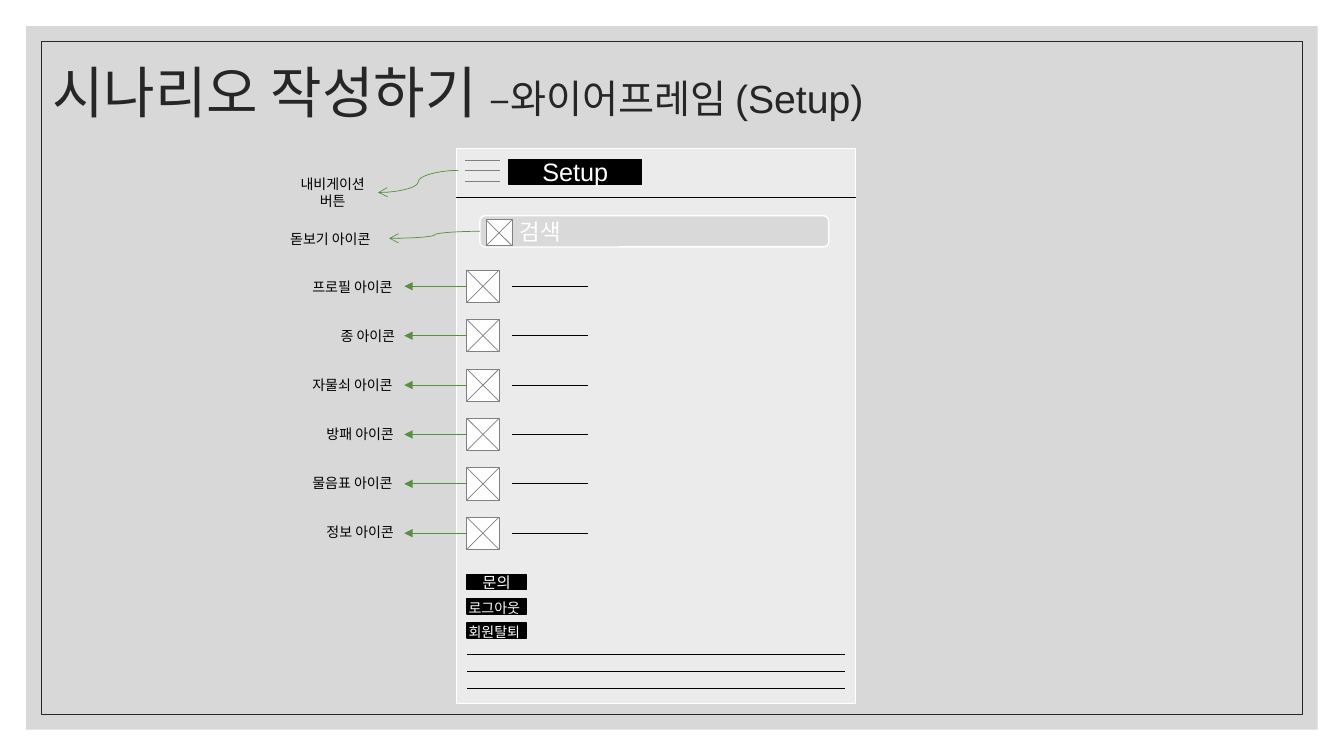
from dataclasses import dataclass

from lxml import etree
from pptx import Presentation
from pptx.dml.color import RGBColor
from pptx.enum.shapes import MSO_CONNECTOR as Link, MSO_SHAPE as Shape
from pptx.enum.text import MSO_ANCHOR as Anchor, PP_ALIGN as Align
from pptx.oxml.ns import qn
from pptx.util import Inches, Pt

# All lengths are cells of a grid with ten cells to the inch.
COLUMNS, ROWS = 133.3, 75
COLORS = {
    "white": "FFFFFF", "black": "000000", "backdrop": "BFBFBF", "ink": "262626",
    "search": "D9D9D9", "outline": "808080", "callout": "57903F",
}
ICON_LABELS = ["프로필 아이콘", "종 아이콘", "자물쇠 아이콘",
               "방패 아이콘", "물음표 아이콘", "정보 아이콘"]
ICON_SIZE, ICON_PITCH, LABEL_PITCH = 3.2, 4.9, 4.86


@dataclass
class Box:
    left: float
    top: float
    width: float
    height: float

    def inner(self, left, top, width, height):
        """Return a box whose corner is measured from this box's corner."""
        return Box(self.left + left, self.top + top, width, height)

    def lengths(self):
        return [cells(n) for n in (self.left, self.top, self.width, self.height)]


def cells(count):
    return Inches(count / 10)


def color(name):
    return RGBColor.from_string(COLORS[name])


def add_box(shapes, box, fill=None, line=None, weight=0.5, kind=Shape.RECTANGLE, opacity=None):
    shape = shapes.add_shape(kind, *box.lengths())
    shape.shadow.inherit = False
    if fill:
        shape.fill.solid()
        shape.fill.fore_color.rgb = color(fill)
    else:
        shape.fill.background()
    if line:
        shape.line.color.rgb = color(line)
        shape.line.width = Pt(weight)
    else:
        shape.line.fill.background()
    if opacity:
        tint = shape.element.spPr.find(qn("a:solidFill")).find(qn("a:srgbClr"))
        etree.SubElement(tint, qn("a:alpha"), val=str(opacity * 1000))
    return shape


def add_line(shapes, start, end, line="black", kind=Link.STRAIGHT, head=None, source=None):
    """Draw a line; source is the shape whose left side it starts from."""
    connector = shapes.add_connector(kind, *[cells(n) for n in (*start, *end)])
    if source is not None:
        connector.begin_connect(source, 1)
    connector.line.color.rgb = color(line)
    connector.line.width = Pt(0.5)
    properties = connector.element.spPr
    if head:
        etree.SubElement(properties.find(qn("a:ln")), qn("a:tailEnd"), type=head)
    etree.SubElement(properties, qn("a:effectLst"))


def write(shape, *paragraphs, size=10, font="Quicksand", ink="black", align=Align.LEFT,
          anchor=Anchor.MIDDLE, wrap=True, spacing=None, indent=None):
    """Fill a shape; each paragraph is a text or a list of (text, size) spans."""
    frame = shape.text_frame
    frame.word_wrap = wrap
    frame.vertical_anchor = anchor
    if indent is not None:
        frame.margin_left = cells(indent)
    for index, content in enumerate(paragraphs):
        para = frame.add_paragraph() if index else frame.paragraphs[0]
        para.alignment = align
        if spacing:
            para.line_spacing = spacing
        for text, points in [(content, size)] if isinstance(content, str) else content:
            span = para.add_run()
            span.text = text
            span.font.name = font
            span.font.size = Pt(points)
            span.font.color.rgb = color(ink)


def add_label(shapes, box, *paragraphs, **style):
    write(shapes.add_textbox(*box.lengths()), *paragraphs,
          **{"wrap": False, "anchor": Anchor.TOP, **style})


def add_icon_label(shapes, right, top, text):
    width = 1 + 1.4 * len(text)
    add_label(shapes, Box(right - width, top, width, 2.7), text)


def add_icon(shapes, box):
    """Draw a crossed square that stands for an icon."""
    square = add_box(shapes, box, "white", "outline")
    right, bottom = box.left + box.width, box.top + box.height
    add_line(shapes, (box.left, bottom), (right, box.top), "outline")
    add_line(shapes, (right, bottom), (box.left, box.top), "outline")
    return square


def add_frame(shapes, page):
    for margin, style in ((2.6, {"fill": "backdrop", "opacity": 60}), (4.1, {"line": "ink"})):
        add_box(shapes, page.inner(margin, margin, page.width - 2 * margin,
                                   page.height - 2 * margin), **style)


def add_title(shapes, box):
    add_label(shapes, box, [("시나리오 작성하기 ", 40), ("–와이어프레임 (Setup)", 28)],
              font="Arial", ink="ink", anchor=Anchor.MIDDLE, wrap=True, spacing=0.9)


def add_header(shapes, box):
    menu = shapes.add_group_shape().shapes
    for row in range(3):
        bar = box.inner(0.8, 1.2 + 1.05 * row, 3.5, 0)
        add_line(menu, (bar.left, bar.top), (bar.left + bar.width, bar.top), "outline")
    heading = add_box(shapes, box.inner(5.2, 1.1, 13.1, 2.5), "black", "black", 1)
    write(heading, "Setup", size=18, font="Arial", ink="white", align=Align.CENTER)
    bottom = box.top + box.height
    add_line(shapes, (box.left - 0.1, bottom), (box.left + box.width, bottom))
    add_line(shapes, (box.left + 0.2, box.top + 2.2), (box.left - 7.8, box.top + 4.4),
             "callout", Link.CURVE, "arrow")
    add_label(shapes, box.inner(-16.8, 2.2, 9, 4.4), "내비게이션", "버튼", align=Align.CENTER)


def add_search(shapes, box):
    field = add_box(shapes, box, "search", "white", 1, Shape.ROUNDED_RECTANGLE)
    write(field, "검색", size=16, ink="white", indent=3.8)
    add_icon(shapes.add_group_shape().shapes, box.inner(0.6, 0.4, 2.6, 2.6))
    middle = box.top + box.height / 2
    add_line(shapes, (box.left, middle), (box.left - 9, middle + 0.7),
             "callout", Link.CURVE, "arrow", field)
    add_icon_label(shapes, box.left - 9, box.top + 1, "돋보기 아이콘")


def add_menu_rows(shapes, box):
    for row, text in enumerate(ICON_LABELS):
        item = shapes.add_group_shape().shapes
        place = box.inner(0, row * ICON_PITCH, ICON_SIZE, ICON_SIZE)
        square = add_icon(item, place)
        middle = place.top + ICON_SIZE / 2
        add_line(item, (box.left + 4.5, middle), (box.left + box.width, middle))
        add_line(shapes, (box.left, middle), (box.left - 6.2, middle),
                 "callout", head="triangle", source=square)
        add_icon_label(shapes, box.left - 5.5, box.top + 0.3 + row * LABEL_PITCH, text)


def add_footer(shapes, box):
    for row, text in enumerate(["문의", "로그아웃", "회원탈퇴"]):
        button = add_box(shapes, box.inner(0, 2.4 * row, 5.9, 1.5), "black", "black", 1)
        if row == 0:
            write(button, text, size=11, ink="white", align=Align.CENTER)
        else:
            add_label(shapes, box.inner(-0.8, 2.4 * row - 0.45, 7.6, 2.7), text, ink="white")
        top = box.top + 7.9 + 1.7 * row
        add_line(shapes, (box.left, top), (box.left + box.width, top))


def add_wireframe(shapes, box):
    add_box(shapes, box, "white", "white", 0.75, opacity=50)
    add_header(shapes, box.inner(0, 0, box.width, 4.9))
    add_search(shapes, box.inner(2.3, 6.7, 34.6, 3.1))
    add_menu_rows(shapes, box.inner(1, 12.1, 12, 27.7))
    add_footer(shapes, box.inner(1, 42.3, 37.5, 11.3))


def main():
    deck = Presentation()
    deck.slide_width, deck.slide_height = cells(COLUMNS), cells(ROWS)
    shapes = deck.slides.add_slide(deck.slide_layouts[6]).shapes
    page = Box(0, 0, COLUMNS, ROWS)
    add_frame(shapes, page)
    add_title(shapes, page.inner(4.2, 4.2, 110, 10.5))
    add_wireframe(shapes, page.inner(45.3, 14.7, 39.6, 55.1))
    deck.save("out.pptx")


if __name__ == "__main__":
    main()
